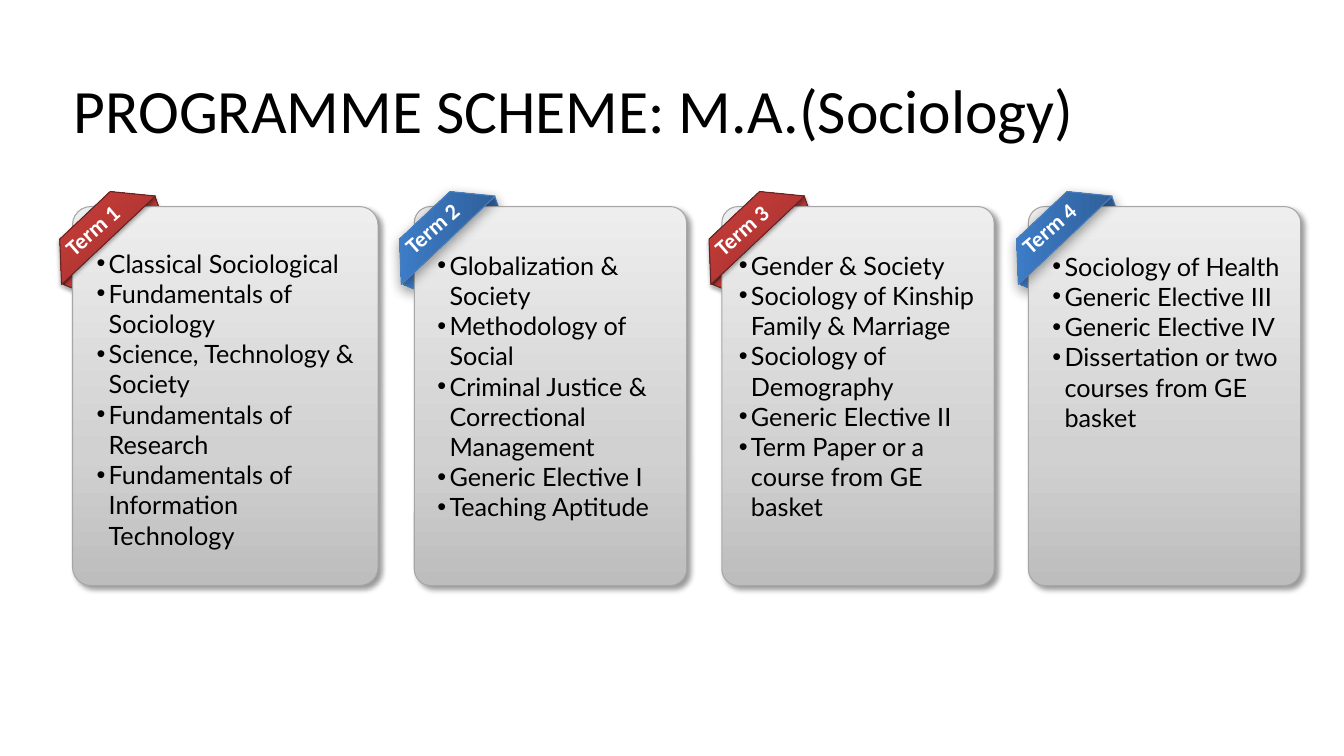
from dataclasses import dataclass
from typing import Any

from lxml import etree
from pptx import Presentation
from pptx import util as u
from pptx.dml import color as dml
from pptx.enum import shapes, text
from pptx.oxml import ns

WIDE, HIGH = 13.33, 7.5
COLS = ROWS = 100


@dataclass(frozen=True)
class Box:
    x: float
    y: float
    w: float
    h: float


@dataclass(frozen=True)
class Look:
    stops: tuple[tuple[int, str], ...]
    angle: int
    line: str
    alpha: int
    blur: float
    dist: float
    turn: int


@dataclass(frozen=True)
class Term:
    name: str
    look: Look
    rib: float
    tag: float
    card: Box
    list: Box
    items: tuple[str, ...]


RED = Look(((0, "9C2F2D"), (80, "CB3E3A"), (100, "CE3B37")), 270, "632523", 35, 3.1, 1.8, 90)
BLUE = Look(((0, "2F5F99"), (80, "3D7CC7"), (100, "3A7CCB")), 225, "4B7EBC", 40, 9, 3, 90)
GREY = Look(((0, "BDBDBD"), (35, "D1D1D1"), (100, "EEEEEE")), 270, "A6A6A6", 40, 4, 3, 45)

TOP, TALL, WIDTH = 27.33, 50.13, 20.26
TERMS = (
    Term("Term 1", RED, 2.4, 27.47, Box(5.4, TOP, 22.73, TALL), Box(6.45, 32.13, 21.76, 41.73), (
        "Classical Sociological", "Fundamentals of Sociology", "Science, Technology & Society",
        "Fundamentals of Research", "Fundamentals of Information Technology")),
    Term("Term 2", BLUE, 27.68, 27.2, Box(30.83, TOP, WIDTH, TALL), Box(31.81, 32.4, 19.35, 37.73), (
        "Globalization & Society", "Methodology of Social",
        "Criminal Justice & Correctional Management", "Generic Elective I", "Teaching Aptitude")),
    Term("Term 3", RED, 50.71, 27.47, Box(53.71, TOP, WIDTH, TALL), Box(54.24, 32.4, 20.26, 37.73), (
        "Gender & Society", "Sociology of Kinship Family & Marriage", "Sociology of Demography",
        "Generic Elective II", "Term Paper or a course from GE basket")),
    Term("Term 4", BLUE, 73.59, 27.2, Box(76.52, TOP, WIDTH, TALL), Box(77.57, 32.53, 19.35, 29.6), (
        "Sociology of Health", "Generic Elective III", "Generic Elective IV",
        "Dissertation or two courses from GE basket")),
)
TITLE = {"name": "Calibri", "size": u.Pt(44), "bold": False}
TAG = {"name": "Calibri", "size": u.Pt(16), "bold": True}
ITEM = {"name": "Lato", "size": u.Pt(18), "bold": False}


def col(n: float) -> int:
    return u.Inches(WIDE * n / COLS)


def row(n: float) -> int:
    return u.Inches(HIGH * n / ROWS)


def place(box: Box) -> tuple[int, int, int, int]:
    return col(box.x), row(box.y), col(box.w), row(box.h)


def apply(item: Any, vals: dict[str, Any]) -> None:
    for key, val in vals.items():
        setattr(item, key, val)


def paint(form: Any, tint: str) -> None:
    form.rgb = dml.RGBColor.from_string(tint)


def node(up: Any, tag: str, **vals: Any) -> Any:
    return etree.SubElement(up, ns.qn(tag), {key: str(val) for key, val in vals.items()})


def write(par: Any, words: str, font: dict[str, Any], tint: str) -> None:
    par.text = words
    apply(par.runs[0].font, font)
    paint(par.runs[0].font.color, tint)


def style(shape: Any, look: Look) -> None:
    shape.line.width = u.Pt(0.75)
    shape.line.fill.solid()
    paint(shape.line.color, look.line)
    shape.shadow.inherit = False
    props = shape._element.spPr
    grad = node(props, "a:gradFill", rotWithShape=1)
    stops = node(grad, "a:gsLst")
    for pos, tint in look.stops:
        node(node(stops, "a:gs", pos=pos * 1000), "a:srgbClr", val=tint)
    node(grad, "a:lin", ang=look.angle * 60000, scaled=0)
    props.find(ns.qn("a:ln")).addprevious(grad)
    cast = node(props.find(ns.qn("a:effectLst")), "a:outerShdw", blurRad=u.Pt(look.blur),
                dist=u.Pt(look.dist), dir=look.turn * 60000, rotWithShape=0)
    node(node(cast, "a:srgbClr", val="000000"), "a:alpha", val=look.alpha * 1000)


def draw(group: Any, kind: Any, box: Box, look: Look, adj: float, turn: float = 0) -> Any:
    shape = group.shapes.add_shape(kind, *place(box))
    shape.adjustments[0] = adj
    shape.rotation = turn
    style(shape, look)
    return shape


def label(group: Any, term: Term) -> None:
    box = group.shapes.add_textbox(*place(Box(term.rib + 1.35, term.tag, 6.9, 5.33)))
    box.rotation = 318.8
    apply(box.text_frame, {"word_wrap": False, "auto_size": text.MSO_AUTO_SIZE.SHAPE_TO_FIT_TEXT})
    write(box.text_frame.paragraphs[0], term.name, TAG, "FFFFFF")


def fill(group: Any, term: Term) -> None:
    frame = group.shapes.add_textbox(*place(term.list)).text_frame
    apply(frame, {"word_wrap": True, "auto_size": text.MSO_AUTO_SIZE.SHAPE_TO_FIT_TEXT})
    for num, words in enumerate(term.items):
        par = frame.add_paragraph() if num else frame.paragraphs[0]
        props = par._p.get_or_add_pPr()
        props.set("marL", str(col(0.9)))
        props.set("indent", str(-col(0.9)))
        node(props, "a:buFont", typeface="Arial")
        node(props, "a:buChar", char="•")
        write(par, words, ITEM, "000000")


def build(slide: Any, term: Term) -> None:
    group = slide.shapes.add_group_shape()
    kind = shapes.MSO_SHAPE
    fold = draw(group, kind.TRAPEZOID, Box(term.rib + 1.28, 31.6, 9.45, 1.47), term.look, 0.44, 316.2)
    fold._element.spPr.xfrm.set("flipV", "1")
    draw(group, kind.ROUNDED_RECTANGLE, term.card, GREY, 0.06)
    draw(group, kind.TRAPEZOID, Box(term.rib, 27.87, 9.6, 4.53), term.look, 0.87, 316.7)
    label(group, term)
    fill(group, term)


def head(slide: Any) -> None:
    title = slide.shapes.title
    spot = place(Box(4.73, 5.33, 88.45, 19.33))
    apply(title, dict(zip(("left", "top", "width", "height"), spot)))
    apply(title.text_frame, {"vertical_anchor": text.MSO_ANCHOR.MIDDLE, "word_wrap": True,
                             "auto_size": text.MSO_AUTO_SIZE.NONE})
    par = title.text_frame.paragraphs[0]
    apply(par, {"alignment": text.PP_ALIGN.LEFT, "line_spacing": 0.9})
    write(par, "PROGRAMME SCHEME: M.A.(Sociology)", TITLE, "000000")


def main() -> None:
    deck = Presentation()
    apply(deck, {"slide_width": u.Inches(WIDE), "slide_height": u.Inches(HIGH)})
    slide = deck.slides.add_slide(deck.slide_layouts[5])
    head(slide)
    for term in TERMS:
        build(slide, term)
    deck.save("out.pptx")


if __name__ == "__main__":
    main()
